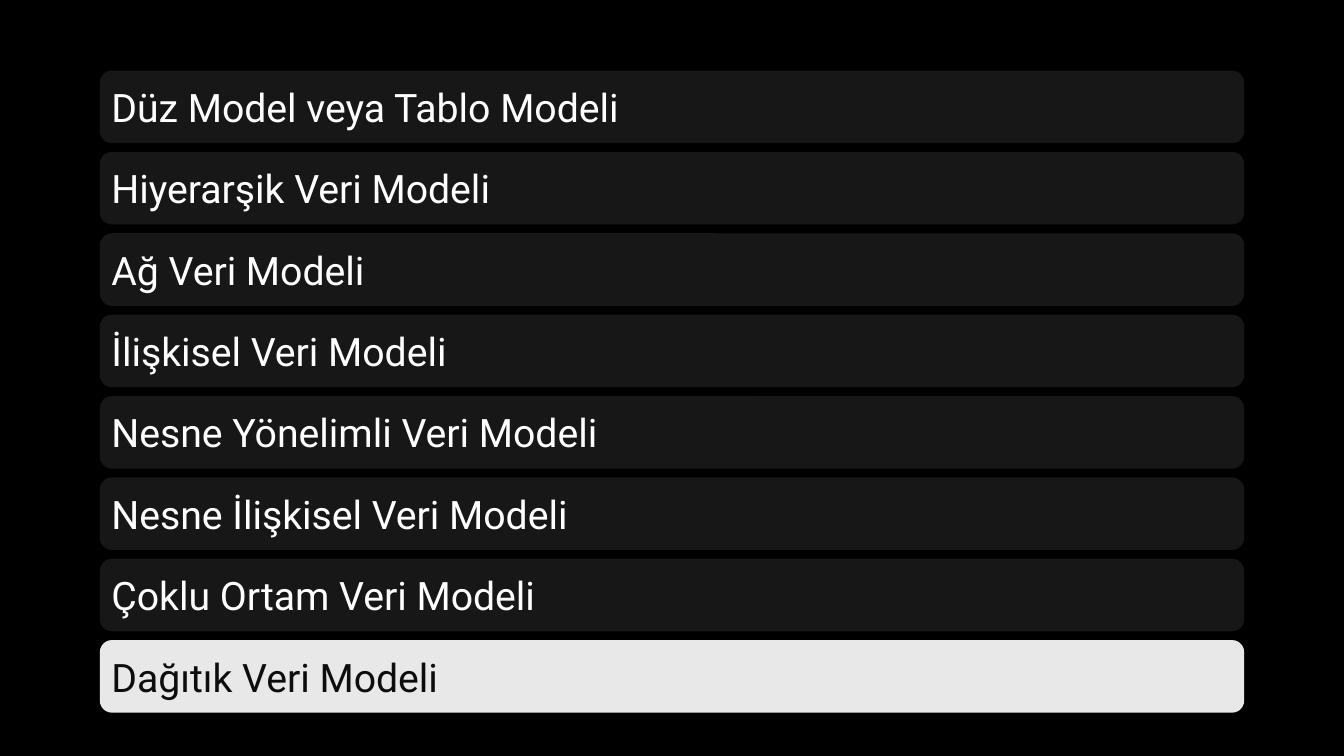
from pptx import Presentation
from pptx.dml.color import RGBColor
from pptx.enum.shapes import MSO_SHAPE
from pptx.enum.text import MSO_ANCHOR, PP_ALIGN
from pptx.util import Inches, Pt

ROUNDED_RECTANGLE = MSO_SHAPE.ROUNDED_RECTANGLE
MIDDLE = MSO_ANCHOR.MIDDLE
LEFT = PP_ALIGN.LEFT

BAR_LEFT, BAR_WIDTH, BAR_HEIGHT = 0.99, 11.35, 0.72
FIRST_TOP, LAST_TOP = 0.7, 6.35

DARK_BAR = ("171717", "FFFFFF")
LIGHT_BAR = ("E8E8E8", "0D0D0D")
DATA_MODELS = [
    ("Düz Model veya Tablo Modeli", DARK_BAR),
    ("Hiyerarşik Veri Modeli", DARK_BAR),
    ("Ağ Veri Modeli", DARK_BAR),
    ("İlişkisel Veri Modeli", DARK_BAR),
    ("Nesne Yönelimli Veri Modeli", DARK_BAR),
    ("Nesne İlişkisel Veri Modeli", DARK_BAR),
    ("Çoklu Ortam Veri Modeli", DARK_BAR),
    ("Dağıtık Veri Modeli", LIGHT_BAR),
]


def set_fill(fill, color):
    fill.solid()
    fill.fore_color.rgb = RGBColor.from_string(color)


presentation = Presentation()
presentation.slide_width = Inches(13.33)
presentation.slide_height = Inches(7.5)
slide = presentation.slides.add_slide(presentation.slide_layouts[6])
set_fill(slide.background.fill, "000000")

pitch = (LAST_TOP - FIRST_TOP) / (len(DATA_MODELS) - 1)
for row, (model_name, (bar_color, text_color)) in enumerate(DATA_MODELS):
    bar = slide.shapes.add_shape(
        ROUNDED_RECTANGLE,
        Inches(BAR_LEFT),
        Inches(FIRST_TOP + row * pitch),
        Inches(BAR_WIDTH),
        Inches(BAR_HEIGHT),
    )
    bar.shadow.inherit = False
    set_fill(bar.fill, bar_color)
    bar.line.fill.background()

    text_frame = bar.text_frame
    text_frame.word_wrap = True
    text_frame.vertical_anchor = MIDDLE
    text_frame.margin_left = Inches(0.08)
    text_frame.text = model_name
    paragraph = text_frame.paragraphs[0]
    paragraph.alignment = LEFT
    font = paragraph.runs[0].font
    font.name = "Roboto"
    font.size = Pt(28)
    set_fill(font.fill, text_color)

presentation.save("out.pptx")
